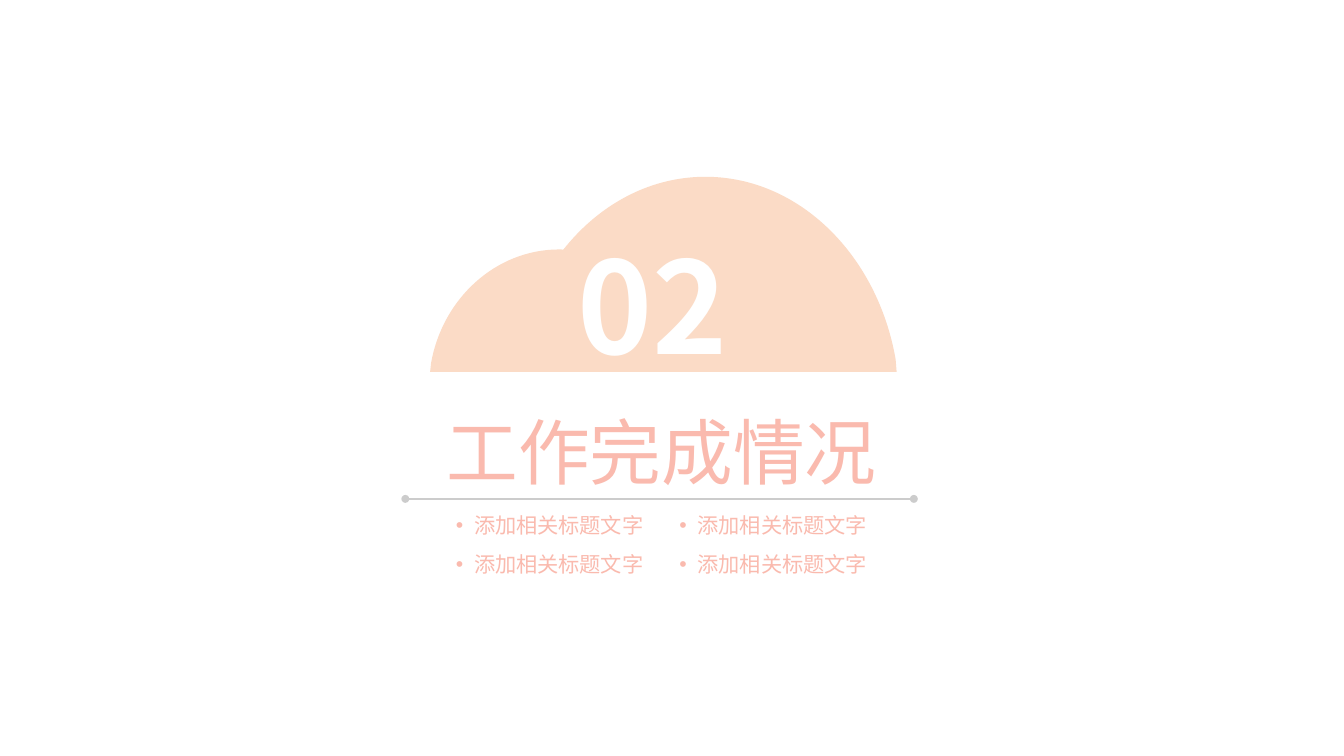
from lxml.etree import SubElement
from pptx import Presentation
from pptx.dml.color import RGBColor
from pptx.enum.shapes import MSO_CONNECTOR
from pptx.enum.text import MSO_AUTO_SIZE, PP_ALIGN
from pptx.oxml.ns import qn
from pptx.util import Inches, Pt

PEACH = RGBColor(0xFB, 0xDB, 0xC6)
CORAL = RGBColor(0xFA, 0xBA, 0xAE)
GREY = RGBColor(0xCC, 0xCC, 0xCC)
WHITE = RGBColor(0xFF, 0xFF, 0xFF)
FONT = "Noto Sans CJK SC"


class SectionPage:
    def __init__(self, deck):
        self.page = deck.slides.add_slide(deck.slide_layouts[6])
        self.shapes = self.page.shapes

    def bend(self, segment, controls, origin):
        """Turn a straight outline segment into a cubic curve."""
        segment.tag = qn("a:cubicBezTo")
        for index, (x, y) in enumerate(controls):
            point = segment.makeelement(qn("a:pt"), {"x": str(Inches(x) - origin[0]),
                                                     "y": str(Inches(y) - origin[1])})
            segment.insert(index, point)

    def dome(self, center, top, bend_y, shoulder, base, half_widths):
        """Symmetric cloud lobe; half widths run from the apex down to the foot."""
        crown, bend, reach, foot = half_widths
        corners = [(center - reach, shoulder), (center - foot, base),
                   (center + foot, base), (center + reach, shoulder), (center, top)]
        builder = self.shapes.build_freeform(Inches(center), Inches(top))
        builder.add_line_segments([(Inches(x), Inches(y)) for x, y in corners], close=True)
        lobe = builder.convert_to_shape()
        segments = list(lobe._element.iter(qn("a:lnTo")))
        origin = (lobe.left, lobe.top)
        self.bend(segments[0], [(center - crown, top), (center - bend, bend_y)], origin)
        self.bend(segments[4], [(center + bend, bend_y), (center + crown, top)], origin)
        lobe.shadow.inherit = False
        lobe.fill.solid()
        lobe.fill.fore_color.rgb = PEACH
        lobe.line.fill.background()

    def rule(self, left, right, top):
        rule = self.shapes.add_connector(MSO_CONNECTOR.STRAIGHT, Inches(left), Inches(top),
                                         Inches(right), Inches(top))
        rule.line.color.rgb = GREY
        rule.line.width = Pt(1)
        outline = rule.line._get_or_add_ln()
        for end in ("a:headEnd", "a:tailEnd"):
            SubElement(outline, qn(end), type="oval")
        SubElement(rule._element.spPr, qn("a:effectLst"))

    def text(self, words, left, top, width, height, size, color, bold=False,
             align=PP_ALIGN.LEFT, margin=0.0, wrap=True, bullet=False):
        box = self.shapes.add_textbox(Inches(left), Inches(top), Inches(width), Inches(height))
        frame = box.text_frame
        frame_format = {
            "margin_left": Inches(margin), "margin_right": Inches(margin),
            "margin_top": Inches(margin / 2), "margin_bottom": Inches(margin / 2),
            "word_wrap": wrap, "auto_size": MSO_AUTO_SIZE.SHAPE_TO_FIT_TEXT,
        }
        for name, value in frame_format.items():
            setattr(frame, name, value)
        para = frame.paragraphs[0]
        para.alignment = align
        if bullet:
            properties = para._p.get_or_add_pPr()
            properties.set("marL", str(Inches(0.19)))
            properties.set("indent", str(Inches(-0.19)))
            SubElement(properties, qn("a:buFont"), typeface="Arial")
            SubElement(properties, qn("a:buChar"), char="•")
        span = para.add_run()
        span.text = words
        for name, value in {"name": FONT, "size": Pt(size), "bold": bold}.items():
            setattr(span.font, name, value)
        span.font.color.rgb = color
        SubElement(span._r.get_or_add_rPr(), qn("a:ea"), typeface=FONT)


def main():
    deck = Presentation()
    deck.slide_width, deck.slide_height = Inches(14.06), Inches(7.91)
    section = SectionPage(deck)

    # Cloud with the section number
    section.dome(center=7.38, top=1.85, bend_y=2.67, shoulder=3.76, base=3.89,
                 half_widths=(0.98, 1.8, 1.99, 2))
    section.dome(center=5.85, top=2.61, bend_y=3.12, shoulder=3.8, base=3.89,
                 half_widths=(0.66, 1.22, 1.34, 1.35))
    section.text("02", 5.83, 2.38, 2, 1.6, 96, WHITE, bold=True, align=PP_ALIGN.CENTER)

    # Title over its rule
    section.rule(4.24, 9.56, 5.22)
    section.text("工作完成情况", 4.67, 4.27, 4.89, 0.91, 54, CORAL)

    # Two by two grid of topics
    for row in range(2):
        for column in range(2):
            section.text("添加相关标题文字", 4.67 + 2.34 * column, 5.31 + 0.41 * row,
                         2.19, 0.37, 16, CORAL, margin=0.1, wrap=False, bullet=True)

    deck.save("out.pptx")


if __name__ == "__main__":
    main()
